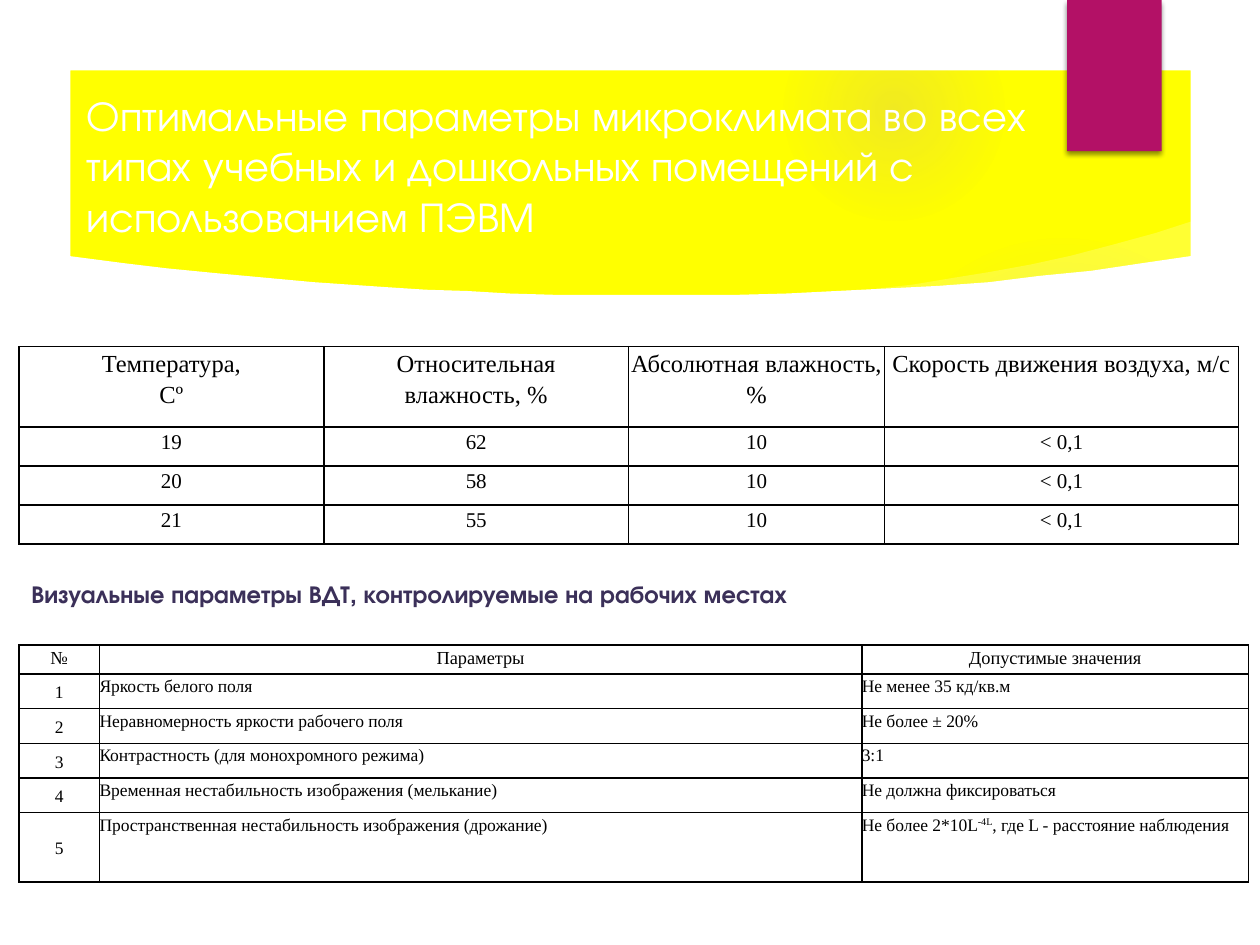
"""Build a slide with two tables of classroom microclimate and display norms."""
from lxml.etree import SubElement
from pptx import Presentation
from pptx.dml.color import RGBColor as RGB
from pptx.enum.shapes import MSO_SHAPE as SHP
from pptx.enum.text import MSO_ANCHOR as ANC, PP_ALIGN as AL
from pptx.oxml import parse_xml
from pptx.oxml.ns import nsdecls, qn
from pptx.util import Pt

C = {"yellow": "FFFF00", "glow": "9B6BF2", "white": "FFFFFF", "ribbon": "B31166",
     "heading": "3B3059", "black": "000000"}
SANS, SERIF = "TeX Gyre Adventor", "Times New Roman"

prs = Presentation()
prs.slide_width, prs.slide_height = 9144000, 6858000
U = prs.slide_width // 10
s = prs.slides.add_slide(prs.slide_layouts[6])
s.background.fill.solid()
s.background.fill.fore_color.rgb = RGB.from_string(C["yellow"])


def grid(*values):
    return [round(v * U) for v in values]


def add_run(p, text, size, font, color, bold=False):
    r = p.add_run()
    r.text = text
    r.font.size, r.font.name, r.font.bold = Pt(size), font, bold
    r.font.color.rgb = RGB.from_string(C[color])
    return r


glows = [((6.89, 1.83, 3.08, 3.08), ((0, 7), (36, 6), (69, 0))),
         ((6.22, 0, 1.75, 1.75), ((0, 14), (36, 7), (73, 0)))]
for box, stops in glows:
    sp = s.shapes.add_shape(SHP.OVAL, *grid(*box))
    sp.shadow.inherit = False
    sp.line.fill.background()
    gs = "".join(f'<a:gs pos="{pos * 1000}"><a:srgbClr val="{C["glow"]}">'
                 f'<a:alpha val="{alpha * 1000}"/></a:srgbClr></a:gs>' for pos, alpha in stops)
    sp._element.spPr.find(qn("a:prstGeom")).addnext(parse_xml(
        f'<a:gradFill {nsdecls("a")}><a:gsLst>{gs}</a:gsLst><a:path path="circle">'
        '<a:fillToRect l="50000" t="50000" r="50000" b="50000"/></a:path></a:gradFill>'))

sweep = [(6.99, 2.34), (7.6, 2.33), (8.3, 2.26), (9, 2.17), (9.56, 2.08), (9.51, 1.74),
         (9.17, 1.85), (8.84, 1.94), (8.5, 2.03), (8.18, 2.1), (7.85, 2.16), (7.54, 2.21),
         (7.24, 2.26), (6.96, 2.29)]
panel = [(0.53, 2.03), (0.53, 6.99), (9.47, 6.99), (9.47, 2.03), (9.06, 2.09), (8.66, 2.15),
         (8.25, 2.19), (7.85, 2.24), (7.44, 2.27), (7.04, 2.29), (6.64, 2.31), (6.25, 2.33),
         (5.87, 2.34), (4.39, 2.34), (4.04, 2.33), (3.71, 2.31), (3.38, 2.3), (3.07, 2.28),
         (2.49, 2.24), (1.73, 2.17), (1.32, 2.13), (0.99, 2.09)]
outer = [(0, 0), (0, 7.5), (10, 7.5), (10, 0)]
inner = [(9.45, 6.95), (0.56, 6.95), (0.56, 0.56), (9.45, 0.56)]
for contours, alpha in (([sweep], 20), ([panel], 100), ([outer, inner], 100)):
    fb = s.shapes.build_freeform(*grid(*contours[0][0]))
    for i, points in enumerate(contours):
        if i:
            fb.move_to(*grid(*points[0]))
        fb.add_line_segments([grid(*pt) for pt in points[1:]], close=True)
    sp = fb.convert_to_shape()
    sp.shadow.inherit = False
    sp.line.fill.background()
    sp.fill.solid()
    sp.fill.fore_color.rgb = RGB.from_string(C["white"])
    if alpha < 100:
        clr = sp._element.spPr.find(".//" + qn("a:srgbClr"))
        SubElement(clr, qn("a:alpha"), val=str(alpha * 1000))

sp = s.shapes.add_shape(SHP.RECTANGLE, *grid(8.47, 0, 0.75, 1.2))
sp.shadow.inherit = False
sp.line.fill.background()
sp.fill.solid()
sp.fill.fore_color.rgb = RGB.from_string(C["ribbon"])
sp._element.spPr.find(qn("a:effectLst")).append(parse_xml(
    f'<a:outerShdw {nsdecls("a")} blurRad="{Pt(3)}" dist="{Pt(2)}" dir="5400000" rotWithShape="0">'
    f'<a:srgbClr val="{C["black"]}"><a:alpha val="45000"/></a:srgbClr></a:outerShdw>'))

texts = [
    ((0.59, 0.6, 8.25, 1.42), 24, "white", False,
     "Оптимальные параметры микроклимата во всех типах учебных и дошкольных помещений "
     "с использованием ПЭВМ"),
    ((0.15, 4.54, 8.55, 0.34), 14, "heading", True,
     "Визуальные параметры ВДТ, контролируемые на рабочих местах")]
for box, size, color, bold, text in texts:
    tf = s.shapes.add_textbox(*grid(*box)).text_frame
    tf.word_wrap = True
    tf.vertical_anchor = ANC.MIDDLE
    add_run(tf.paragraphs[0], text, size, SANS, color, bold)

climate = [["Температура,\nСº", "Относительная\nвлажность, %", "Абсолютная влажность, %",
            "Скорость движения воздуха, м/с"],
           ["19", "62", "10", "< 0,1"],
           ["20", "58", "10", "< 0,1"],
           ["21", "55", "10", "< 0,1"]]
display = [["№", "", "Параметры", "Допустимые значения"],
           ["1", "", "Яркость белого поля", "Не менее 35 кд/кв.м"],
           ["2", "", "Неравномерность яркости рабочего поля", "Не более ± 20%"],
           ["3", "", "Контрастность (для монохромного режима)", "3:1"],
           ["4", "", "Временная нестабильность изображения (мелькание)",
            "Не должна фиксироваться"],
           ["5", "", "Пространственная нестабильность изображения (дрожание)",
            "Не более 2*10L^-4L^, где L - расстояние наблюдения"],
           [""] * 4]
tables = [(climate, 2.75, [2.42, 2.42, 2.03, 2.81], [0.64] + [0.31] * 3, 14, 12, False),
          (display, 5.12, [0.55, 0.09, 6.05, 3.07], [0.23] + [1.1 / 4] * 4 + [0.55, 0.25],
           10.5, 10, True)]
for data, top, cols, rows, head_size, size, numbered in tables:
    tb = s.shapes.add_table(len(rows), len(cols),
                            *grid(0.15, top, sum(cols), sum(rows))).table
    tb.first_row = tb.horz_banding = False
    for column, width in zip(tb.columns, grid(*cols)):
        column.width = width
    for row, height in zip(tb.rows, grid(*rows)):
        row.height = height
    for i, line in enumerate(data):
        for j, text in enumerate(line):
            cell = tb.cell(i, j)
            cell.margin_left = cell.margin_right = cell.margin_top = cell.margin_bottom = 0
            cell.vertical_anchor = ANC.MIDDLE if numbered and i and not j else ANC.TOP
            cell.fill.background()
            for k, side in enumerate("LRTB"):
                ink = (f'<a:solidFill><a:srgbClr val="{C["black"]}"/></a:solidFill>'
                       if any(line) or side == "T" else "<a:noFill/>")
                cell._tc.tcPr.insert(k, parse_xml(
                    f'<a:ln{side} {nsdecls("a")} w="{Pt(1)}">{ink}</a:ln{side}>'))
            if not text:
                cell.text_frame.paragraphs[0].font.size = Pt(size)
                continue
            tf = cell.text_frame
            for k, part in enumerate(text.split("\n")):
                p = tf.add_paragraph() if k else tf.paragraphs[0]
                p.alignment = AL.JUSTIFY if numbered and i and j else AL.CENTER
                p.line_spacing = 1.15
                for n, piece in enumerate(part.split("^")):
                    r = add_run(p, piece, size if i else head_size, SERIF, "black")
                    if n % 2:
                        r.font._element.set("baseline", "30000")
        if numbered and any(line):
            tb.cell(i, 0).merge(tb.cell(i, 1))

prs.save("out.pptx")
